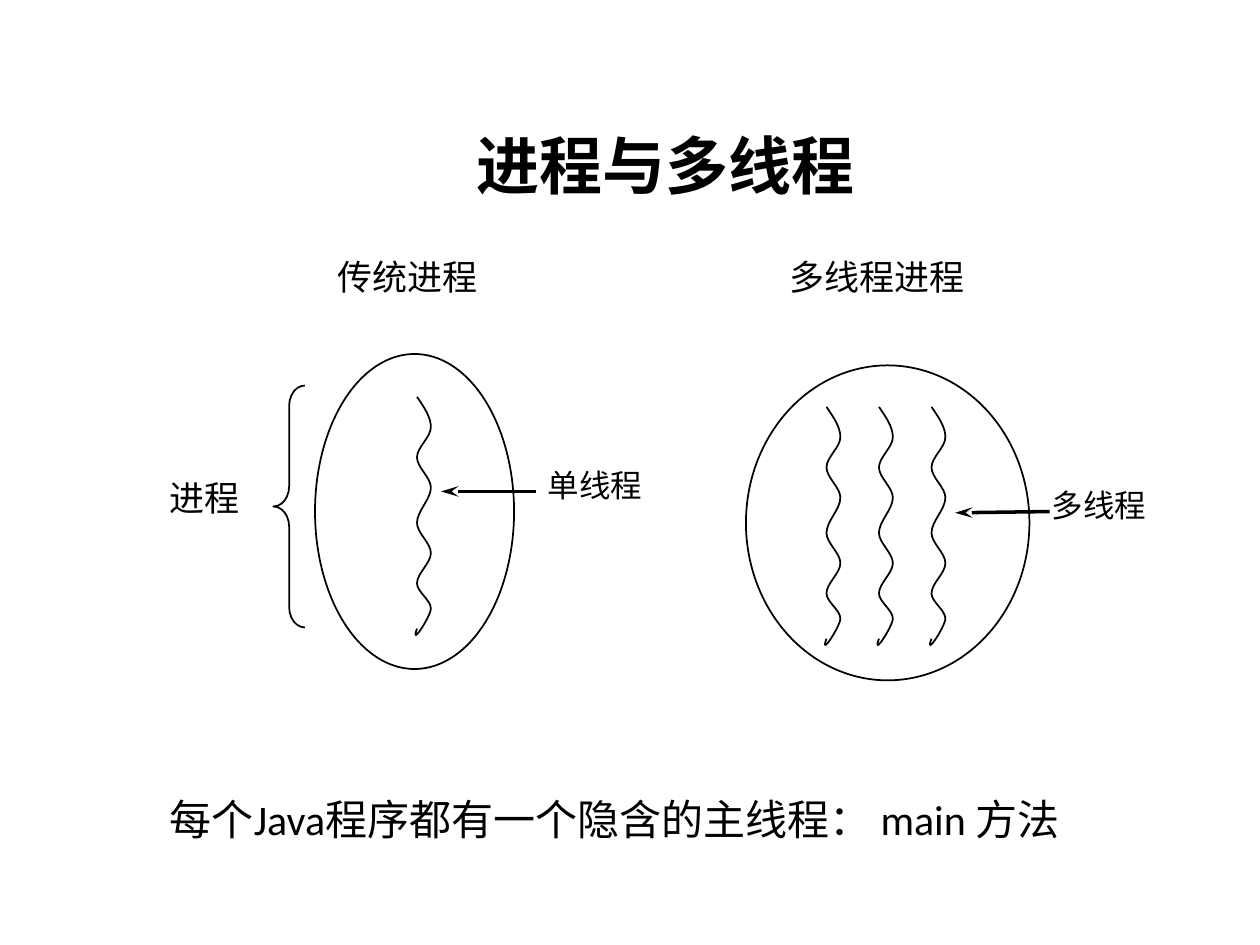
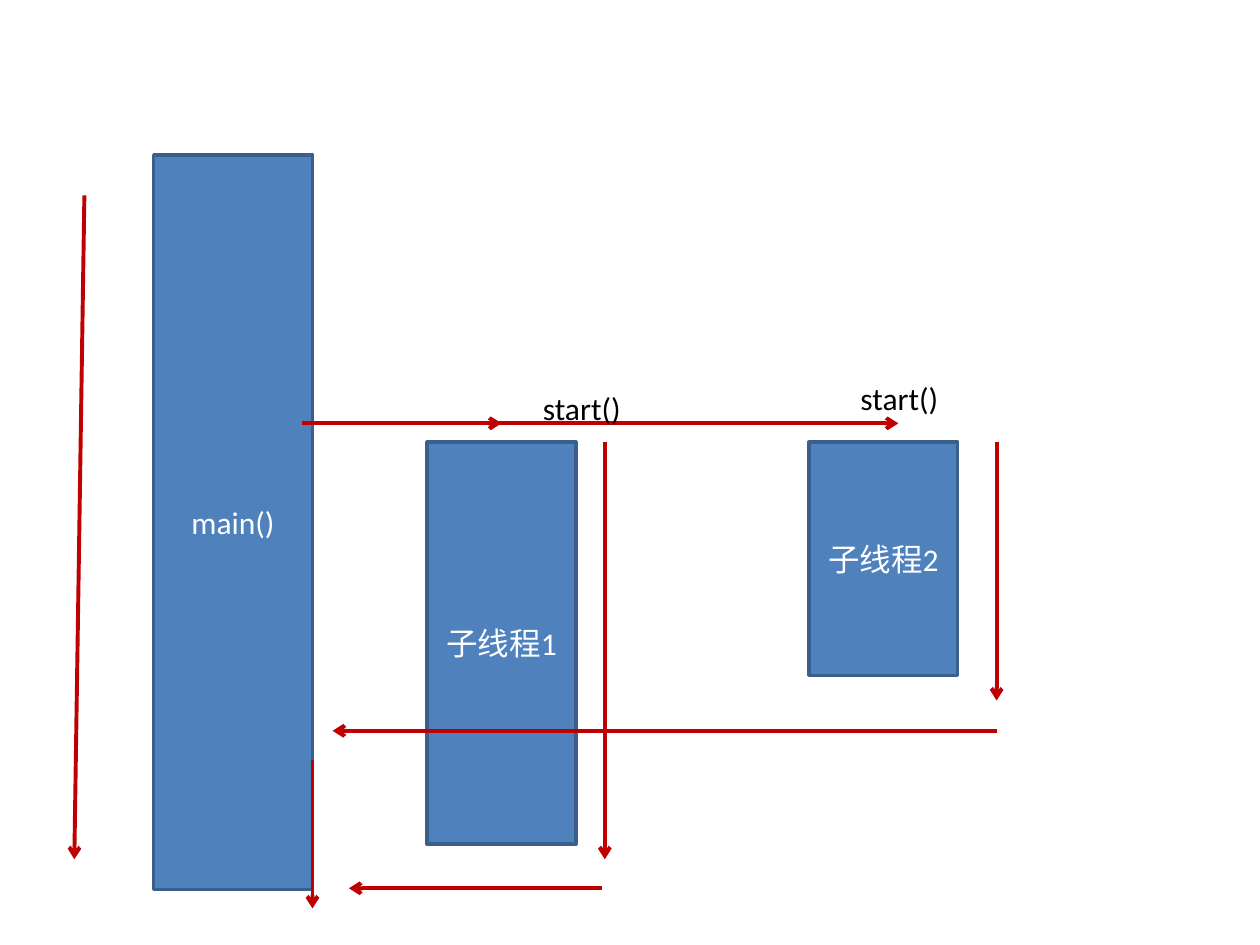
from lxml import etree
from pptx import Presentation
from pptx import util as u
from pptx.dml.color import RGBColor
from pptx.enum import shapes, text
from pptx.oxml.ns import qn

BLACK = RGBColor(0x00, 0x00, 0x00)
WHITE = RGBColor(0xFF, 0xFF, 0xFF)
BLUE = RGBColor(0x4F, 0x81, 0xBD)
BLUE_EDGE = RGBColor(0x3A, 0x5F, 0x8C)
RED = RGBColor(0xC0, 0x00, 0x00)
FONT = "Calibri"

WAVE_LEFT, WAVE_RIGHT = 0.06, 0.17
WAVE_TURNS = [0, 0.24, 0.48, 0.72, 1, 1.24, 1.48, 1.68]
WAVE_HOOK = [(0.17, 1.74), (0, 2), (0.06, 1.84)]


def write(frame, words, size, color, bold=False, align=text.PP_ALIGN.LEFT):
    paragraph = frame.paragraphs[0]
    paragraph.alignment = align
    run = paragraph.add_run()
    run.text = words
    run.font.name = FONT
    run.font.size = u.Pt(size)
    run.font.bold = bold
    run.font.color.rgb = color


def add_label(slide, words, left, top, width, height, size=18):
    frame = slide.shapes.add_textbox(*map(u.Inches, (left, top, width, height))).text_frame
    frame.word_wrap = True
    frame.auto_size = text.MSO_AUTO_SIZE.SHAPE_TO_FIT_TEXT
    write(frame, words, size, BLACK)


def add_title(slide, words):
    frame = slide.shapes.add_textbox(*map(u.Inches, (2.07, 0.84, 6.43, 0.93))).text_frame
    frame.word_wrap = True
    frame.vertical_anchor = text.MSO_ANCHOR.MIDDLE
    write(frame, words, 36, BLACK, True, text.PP_ALIGN.CENTER)


def style_outline(shape, color=BLACK, weight=1):
    shape.shadow.inherit = False
    shape.fill.background()
    shape.line.color.rgb = color
    shape.line.width = u.Pt(weight)


def add_outline(slide, kind, left, top, width, height):
    shape = slide.shapes.add_shape(kind, *map(u.Inches, (left, top, width, height)))
    style_outline(shape)
    return shape


def add_block(slide, words, left, top, width, height):
    block = add_outline(slide, shapes.MSO_SHAPE.RECTANGLE, left, top, width, height)
    style_outline(block, BLUE_EDGE, 2)
    block.fill.solid()
    block.fill.fore_color.rgb = BLUE
    block.text_frame.word_wrap = True
    block.text_frame.vertical_anchor = text.MSO_ANCHOR.MIDDLE
    write(block.text_frame, words, 18, WHITE, align=text.PP_ALIGN.CENTER)


def add_arrow(slide, start, end, color=RED, weight=2.25, head="arrow", head_length="med"):
    arrow = slide.shapes.add_connector(
        shapes.MSO_CONNECTOR.STRAIGHT, *map(u.Inches, (*start, *end)))
    arrow.line.color.rgb = color
    arrow.line.width = u.Pt(weight)
    etree.SubElement(arrow.line._get_or_add_ln(), qn("a:tailEnd"),
                     type=head, w="med", len=head_length)
    etree.SubElement(arrow._element.spPr, qn("a:effectLst"))


def add_pointer(slide, start, end):
    add_arrow(slide, start, end, BLACK, 2, "stealth", "lg")


def wave_points():
    points = [(WAVE_LEFT, 0)]
    sides = (WAVE_LEFT, WAVE_RIGHT)
    for i, (y0, y1) in enumerate(zip(WAVE_TURNS, WAVE_TURNS[1:])):
        x0, x1 = sides[i % 2], sides[(i + 1) % 2]
        pull = (y1 - y0) / 3
        leave_x = (x0 + x1) / 2 if i == 0 else x0
        points += [(leave_x, y0 + pull), (x1, y1 - pull), (x1, y1)]
    return points + WAVE_HOOK


def bend_segments(shape):
    segments = list(shape._element.iter(qn("a:lnTo")))
    for first in range(0, len(segments), 3):
        trio = segments[first:first + 3]
        curve = etree.Element(qn("a:cubicBezTo"))
        trio[0].addprevious(curve)
        for segment in trio:
            curve.append(segment[0])
            segment.getparent().remove(segment)


def add_thread(slide, left, top):
    route = [(u.Inches(left + x), u.Inches(top + y)) for x, y in wave_points()]
    builder = slide.shapes.build_freeform(*route[0])
    builder.add_line_segments(route[1:], close=False)
    thread = builder.convert_to_shape()
    bend_segments(thread)
    style_outline(thread)


def build_process_slide(slide):
    add_title(slide, "进程与多线程")

    add_thread(slide, 3.25, 3.15)
    add_label(slide, "单线程", 4.25, 3.65, 1.33, 0.4)
    add_pointer(slide, (4.25, 3.9), (3.5, 3.9))

    for i in range(3):
        add_thread(slide, 6.5 + i * 5 / 12, 3.23)
    add_label(slide, "多线程", 8.25, 3.81, 1.33, 0.4)
    add_pointer(slide, (8.33, 4.06), (7.58, 4.07))

    add_outline(slide, shapes.MSO_SHAPE.OVAL, 2.5, 2.81, 1.58, 2.5)
    add_label(slide, "进程", 1.25, 3.73, 1.08, 0.44, 20)
    brace = add_outline(slide, shapes.MSO_SHAPE.LEFT_BRACE, 2.17, 3.06, 0.25, 1.92)
    brace.adjustments[0] = 0.64
    add_label(slide, "传统进程", 2.58, 1.98, 2.25, 0.44, 20)

    add_outline(slide, shapes.MSO_SHAPE.OVAL, 5.92, 2.9, 2.25, 2.5)
    add_label(slide, "多线程进程", 6.17, 1.98, 2.33, 0.44, 20)
    add_label(slide, "每个Java程序都有一个隐含的主线程： main 方法", 1.25, 6.25, 7.42, 0.5, 24)


def build_start_slide(slide):
    add_block(slide, "main()", 1.22, 1.23, 1.26, 5.83)
    add_arrow(slide, (0.67, 1.55), (0.59, 6.82))
    add_arrow(slide, (2.4, 3.36), (3.98, 3.36))
    add_block(slide, "子线程1", 3.39, 3.51, 1.18, 3.19)
    add_arrow(slide, (2.48, 3.36), (7.13, 3.36))
    add_block(slide, "子线程2", 6.42, 3.51, 1.18, 1.85)
    for start, end in (
        ((4.8, 3.51), (4.8, 6.82)),
        ((7.91, 3.51), (7.91, 5.56)),
        ((4.78, 7.05), (2.77, 7.05)),
        ((2.48, 6.03), (2.48, 7.21)),
        ((7.91, 5.8), (2.64, 5.8)),
    ):
        add_arrow(slide, start, end)
    for left, top in ((4.21, 3.04), (6.73, 2.96)):
        add_label(slide, "start()", left, top, 1.42, 0.4)


def main():
    deck = Presentation()
    deck.slide_width = u.Inches(10)
    deck.slide_height = u.Inches(7.5)
    for build in (build_process_slide, build_start_slide):
        build(deck.slides.add_slide(deck.slide_layouts[6]))
    deck.save("out.pptx")


main()
